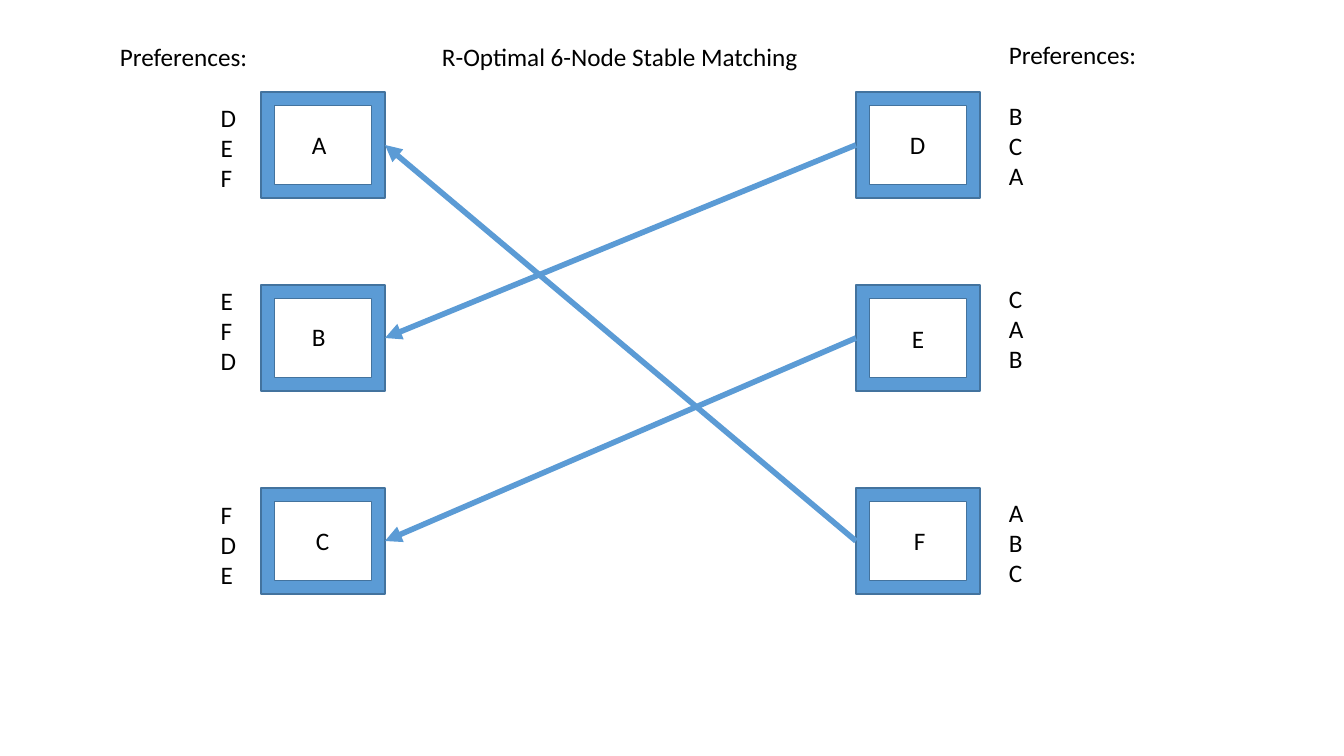
from pptx import Presentation
from pptx import util as u
from pptx.dml.color import RGBColor
from pptx.enum import shapes, text
from pptx.oxml.ns import qn
from lxml import etree

TITLE = "R-Optimal 6-Node Stable Matching"
HEADING = "Preferences:"
ROW_TOPS = [92, 285, 488]
LINES_SKIPPED = [1, 3, 4]
SIDES = [
    {"frame_left": 261, "list_box": (110, 36, 265, 557), "indent": 1,
     "nodes": [("A", 302, 124, "DEF"), ("B", 302, 316, "EFD"), ("C", 306, 520, "FDE")]},
    {"frame_left": 856, "list_box": (999, 34, 268, 559), "indent": 0,
     "nodes": [("D", 900, 124, "BCA"), ("E", 902, 318, "CAB"), ("F", 904, 520, "ABC")]},
]
MATCHES = [("B", "D"), ("A", "F"), ("C", "E")]

FRAME_SIZE = (124, 106)
LABEL_SIZE = (36, 40)
LINE_PITCH = 22
LEFT_SITE, RIGHT_SITE = 1, 3
BLUE = RGBColor(0x5B, 0x9B, 0xD5)
DARK_BLUE = RGBColor(0x43, 0x73, 0x9E)
BLACK = RGBColor(0, 0, 0)


def px(length):
    return u.Emu(round(length * 914400 / 100.8))


def add_span(para, words):
    span = para.add_run()
    span.text = words
    span.font.name = "Calibri"
    span.font.size = u.Pt(18)
    span.font.color.rgb = BLACK


def add_text(words, *place, wrap=True):
    box = page.shapes.add_textbox(*map(px, place))
    box.text_frame.word_wrap = wrap
    box.text_frame.auto_size = text.MSO_AUTO_SIZE.NONE
    add_span(box.text_frame.paragraphs[0], words)
    return box.text_frame


def add_frame(left, top):
    frame = page.shapes.add_shape(shapes.MSO_SHAPE.FRAME, *map(px, (left, top, *FRAME_SIZE)))
    frame.shadow.inherit = False
    frame.fill.solid()
    frame.fill.fore_color.rgb = BLUE
    frame.line.color.rgb = DARK_BLUE
    frame.line.width = u.Pt(1)
    return frame


def add_arrow(receiver, proposer):
    arrow = page.shapes.add_connector(shapes.MSO_CONNECTOR.STRAIGHT, 0, 0, 0, 0)
    arrow.begin_connect(receiver, RIGHT_SITE)
    arrow.end_connect(proposer, LEFT_SITE)
    arrow.line.color.rgb = BLUE
    arrow.line.width = u.Pt(4)
    etree.SubElement(arrow.line._get_or_add_ln(), qn("a:headEnd"), type="triangle")
    etree.SubElement(arrow._element.spPr, qn("a:effectLst"))


def add_preferences(side):
    body = add_text(HEADING, *side["list_box"])
    for (_, _, _, ranking), skipped in zip(side["nodes"], LINES_SKIPPED):
        for rank, choice in enumerate(ranking):
            para = body.add_paragraph()
            para._p.get_or_add_pPr().set("marL", str(u.Inches(side["indent"])))
            para.space_before = u.Pt(0 if rank else skipped * LINE_PITCH)
            add_span(para, choice)


deck = Presentation()
deck.slide_width, deck.slide_height = px(1344), px(756)
page = deck.slides.add_slide(deck.slide_layouts[6])

frames = {}
for side in SIDES:
    for (name, left, top, _), row_top in zip(side["nodes"], ROW_TOPS):
        frames[name] = add_frame(side["frame_left"], row_top)
        add_text(name, left, top, *LABEL_SIZE, wrap=False)
for receiver, proposer in MATCHES:
    add_arrow(frames[receiver], frames[proposer])
for side in SIDES:
    add_preferences(side)
add_text(TITLE, 432, 36, 377, 40, wrap=False)

deck.save("out.pptx")
